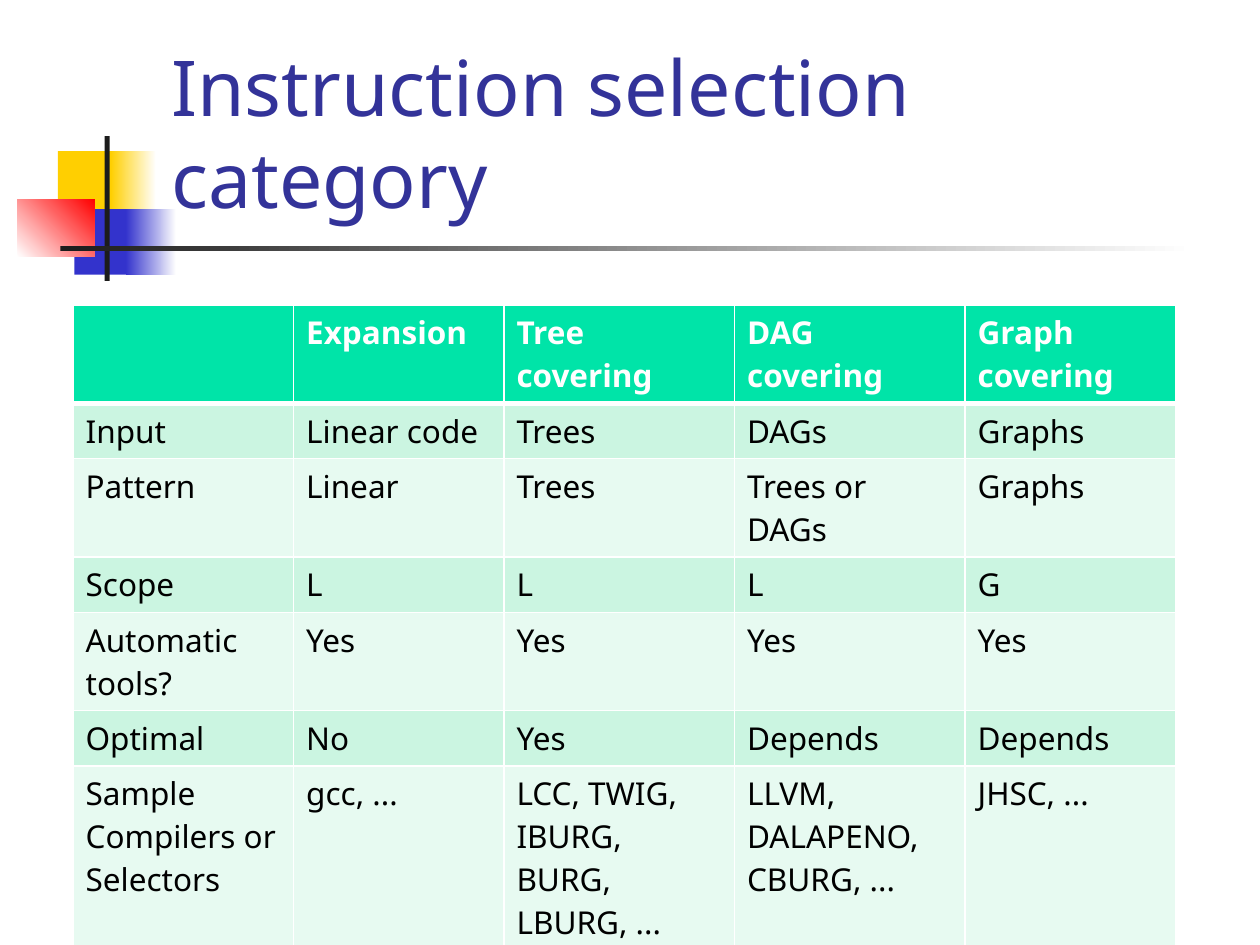
"""Build the instruction selection category slide."""
import pptx
import pptx.dml.color
import pptx.enum.shapes
import pptx.enum.text
import pptx.oxml
import pptx.oxml.ns
import pptx.util

Inches, Pt = pptx.util.Inches, pptx.util.Pt
FONT = "Noto Sans"
TITLE = "Instruction selection category"
DECOR = [
    ((0.46, 1.2, 0.48, 0.52), ["FFCF01"], 0),
    ((0.88, 1.2, 0.36, 0.52), ["FFCF01", "FFFFFF"], 0),
    ((0.59, 1.66, 0.46, 0.52), ["3333CC"], 0),
    ((1, 1.66, 0.4, 0.52), ["3333CC", "FFFFFF"], 0),
    ((0.14, 1.58, 0.61, 0.46), ["FFFFFF", "FF0000"], 45),
    ((0.83, 1.08, 0.04, 1.15), ["1C1C1C"], 0),
    ((0.48, 1.95, 9, 0.04), ["1C1C1C", "FFFFFF"], 0),
]
COLS = [1.75, 1.67, 1.83, 1.83, 1.67]
ROW_LINES = [2, 1, 2, 1, 2, 1, 4]
LINE_HEIGHT, ROW_PADDING = 0.34, 0.1
HEADER_FILL = "00E4A8"
BAND_FILLS = ["E7FAF1", "CBF5E1"]
ROWS = [
    ["", "Expansion", "Tree\ncovering", "DAG covering", "Graph covering"],
    ["Input", "Linear code", "Trees", "DAGs", "Graphs"],
    ["Pattern", "Linear", "Trees", "Trees or DAGs", "Graphs"],
    ["Scope", "L", "L", "L", "G"],
    ["Automatic tools?", "Yes", "Yes", "Yes", "Yes"],
    ["Optimal", "No", "Yes", "Depends", "Depends"],
    ["Sample Compilers or Selectors", "gcc, ...",
     "LCC, TWIG, IBURG, BURG, LBURG, ...",
     "LLVM, DALAPENO, CBURG, ...", "JHSC, ..."],
]


def rgb(color):
    return pptx.dml.color.RGBColor.from_string(color)


def add_decor(s, box, colors, angle):
    sp = s.shapes.add_shape(pptx.enum.shapes.MSO_SHAPE.RECTANGLE, *map(Inches, box))
    sp.shadow.inherit = False
    sp.line.fill.background()
    if len(colors) == 1:
        sp.fill.solid()
        sp.fill.fore_color.rgb = rgb(colors[0])
        return
    sp.fill.gradient()
    sp.fill.gradient_angle = angle
    for position, (stop, color) in enumerate(zip(sp.fill.gradient_stops, colors)):
        stop.color.rgb = rgb(color)
        stop.position = position


def add_text(tf, text, size, color, bold=False):
    for i, line in enumerate(text.split("\n")):
        p = tf.add_paragraph() if i else tf.paragraphs[0]
        p.font.size = Pt(size)
        if line:
            r = p.add_run()
            r.text = line
            r.font.name = FONT
            r.font.size = Pt(size)
            r.font.bold = bold
            r.font.color.rgb = rgb(color)


def add_borders(cell, top, bottom):
    tcPr = cell._tc.get_or_add_tcPr()
    for side, width in (("L", 1), ("R", 1), ("T", top), ("B", bottom)):
        tcPr.append(pptx.oxml.parse_xml(
            f'<a:ln{side} {pptx.oxml.ns.nsdecls("a")} w="{Pt(width)}">'
            f'<a:solidFill><a:srgbClr val="FFFFFF"/></a:solidFill></a:ln{side}>'))


def add_table(s):
    heights = [ROW_PADDING + LINE_HEIGHT * lines for lines in ROW_LINES]
    table = s.shapes.add_table(
        len(ROWS), len(COLS), Inches(0.58), Inches(2.42),
        Inches(sum(COLS)), Inches(sum(heights))).table
    for column, width in zip(table.columns, COLS):
        column.width = Inches(width)
    for i, row in enumerate(ROWS):
        table.rows[i].height = Inches(heights[i])
        header = i == 0
        for j, text in enumerate(row):
            cell = table.cell(i, j)
            add_borders(cell, 3 if i == 1 else 1, 3 if header else 1)
            cell.fill.solid()
            cell.fill.fore_color.rgb = rgb(HEADER_FILL if header else BAND_FILLS[i % 2])
            add_text(cell.text_frame, text, 18, "FFFFFF" if header else "000000", header)


def main():
    prs = pptx.Presentation()
    prs.slide_width, prs.slide_height = Inches(10), Inches(7.5)
    s = prs.slides.add_slide(prs.slide_layouts[6])
    for box, colors, angle in DECOR:
        add_decor(s, box, colors, angle)
    tf = s.shapes.add_textbox(*map(Inches, (1.26, 0.23, 8.52, 1.6))).text_frame
    tf.word_wrap = True
    tf.vertical_anchor = pptx.enum.text.MSO_ANCHOR.BOTTOM
    add_text(tf, TITLE, 44, "333399")
    add_table(s)
    prs.save("out.pptx")


if __name__ == "__main__":
    main()
